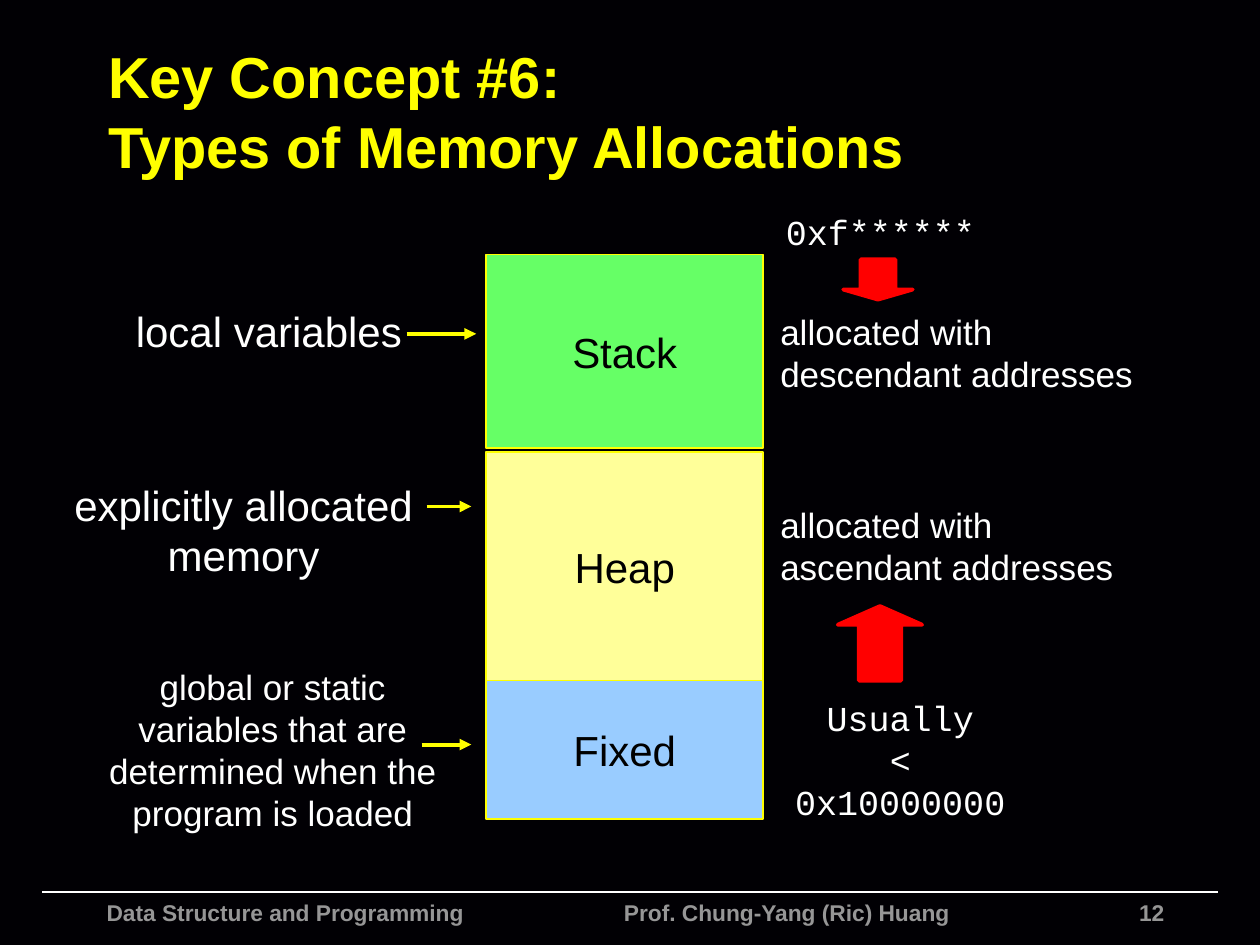
from lxml.etree import SubElement
from pptx import Presentation
from pptx.dml.color import RGBColor
from pptx.enum.shapes import MSO_CONNECTOR, MSO_SHAPE
from pptx.enum.text import MSO_ANCHOR, PP_ALIGN
from pptx.oxml.ns import qn
from pptx.util import Cm, Pt

YELLOW, WHITE, BLACK, RED, GRAY = "FFFF00", "FFFFFF", "000000", "FF0000", "969696"
MONO = "Courier New"


def rgb(value):
    return RGBColor.from_string(value)


def write(tf, text, size=20, color=WHITE, font="Arial", bold=False,
          align=PP_ALIGN.LEFT, anchor=MSO_ANCHOR.TOP, wrap=True, inset=0.13):
    tf.word_wrap = wrap
    tf.vertical_anchor = anchor
    tf.margin_left = tf.margin_right = Cm(inset)
    tf.margin_top = tf.margin_bottom = Cm(0.13)
    for i, line in enumerate(text.split("\n")):
        p = tf.paragraphs[0] if i == 0 else tf.add_paragraph()
        p.alignment = align
        r = p.add_run()
        r.text = line
        r.font.name = font
        r.font.size = Pt(size)
        r.font.bold = bold
        r.font.color.rgb = rgb(color)


class Deck:
    def __init__(self, background):
        self.prs = Presentation()
        self.prs.slide_width, self.prs.slide_height = Cm(25.4), Cm(19.05)
        self.s = self.prs.slides.add_slide(self.prs.slide_layouts[6])
        self.s.background.fill.solid()
        self.s.background.fill.fore_color.rgb = rgb(background)

    def text(self, x, y, w, h, text, **style):
        sp = self.s.shapes.add_textbox(Cm(x), Cm(y), Cm(w), Cm(h))
        write(sp.text_frame, text, **style)

    def shape(self, kind, x, y, w, h, fill, line, width):
        sp = self.s.shapes.add_shape(kind, Cm(x), Cm(y), Cm(w), Cm(h))
        sp.shadow.inherit = False
        sp.fill.solid()
        sp.fill.fore_color.rgb = rgb(fill)
        sp.line.color.rgb = rgb(line)
        sp.line.width = Pt(width)
        return sp

    def block(self, x, y, w, h, text, fill):
        sp = self.shape(MSO_SHAPE.RECTANGLE, x, y, w, h, fill, YELLOW, 1)
        write(sp.text_frame, text, size=24, color=BLACK, wrap=False,
              align=PP_ALIGN.CENTER, anchor=MSO_ANCHOR.MIDDLE)

    def block_arrow(self, kind, x, y, w, h):
        sp = self.shape(kind, x, y, w, h, RED, RED, 2.25)
        sp.adjustments[0], sp.adjustments[1] = 0.5, 0.25

    def line(self, x1, x2, y, color, width, arrow=False):
        c = self.s.shapes.add_connector(
            MSO_CONNECTOR.STRAIGHT, Cm(x1), Cm(y), Cm(x2), Cm(y))
        c.line.color.rgb = rgb(color)
        c.line.width = Pt(width)
        if arrow:
            SubElement(c.line._get_or_add_ln(), qn("a:tailEnd"), type="triangle")
        SubElement(c._element.spPr, qn("a:effectLst"))


def main():
    deck = Deck("010004")

    deck.line(0.85, 24.55, 17.98, WHITE, 1)
    footers = [
        (1.9, 9, "Data Structure and Programming", PP_ALIGN.LEFT),
        (12.33, 8, "Prof. Chung-Yang (Ric) Huang", PP_ALIGN.LEFT),
        (21.7, 2.02, "12", PP_ALIGN.RIGHT),
    ]
    for x, w, text, align in footers:
        deck.text(x, 17.98, w, 0.8, text, size=13, color=GRAY, bold=True,
                  align=align, inset=0.25)

    deck.text(1.93, 0.94, 22.45, 2.57,
              "Key Concept #6:\nTypes of Memory Allocations",
              size=33, color=YELLOW, bold=True, anchor=MSO_ANCHOR.MIDDLE, inset=0.25)

    blocks = [
        (5.13, 3.91, "Stack", "66FF66"),
        (9.12, 4.6, "Heap", "FFFF99"),
        (13.72, 2.79, "Fixed", "99CCFF"),
    ]
    for y, h, text, fill in blocks:
        deck.block(9.8, y, 5.59, h, text, fill)

    uses = [
        (2.5, 6.02, 5.84, 1.27, "local variables", 24),
        (1.19, 9.53, 7.44, 2.31, "explicitly allocated memory", 24),
        (2, 13.28, 7, 3.63, "global or static variables that are "
         "determined when the program is loaded", 20),
    ]
    for x, y, w, h, text, size in uses:
        deck.text(x, y, w, h, text, size=size, align=PP_ALIGN.CENTER)

    for x1, x2, y in [(8.2, 9.6, 6.73), (8.6, 9.5, 10.21), (8.5, 9.5, 15.01)]:
        deck.line(x1, x2, y, YELLOW, 2.25, arrow=True)

    addresses = [
        (15.55, 4.11, 4.4, 1.09, "0xf*******"),
        (15.55, 13.92, 5.2, 1.96, "Usually\n< 0x10000000"),
    ]
    for x, y, w, h, text in addresses:
        deck.text(x, y, w, h, text, font=MONO, align=PP_ALIGN.CENTER)

    deck.block_arrow(MSO_SHAPE.DOWN_ARROW, 17, 5.23, 1.4, 0.81)
    deck.block_arrow(MSO_SHAPE.UP_ARROW, 16.89, 12.22, 1.7, 1.5)

    for y, order in [(6.12, "descendant"), (10.03, "ascendant")]:
        deck.text(15.6, y, 7.7, 1.96, f"allocated with\n{order} addresses")

    deck.prs.save("out.pptx")


if __name__ == "__main__":
    main()
